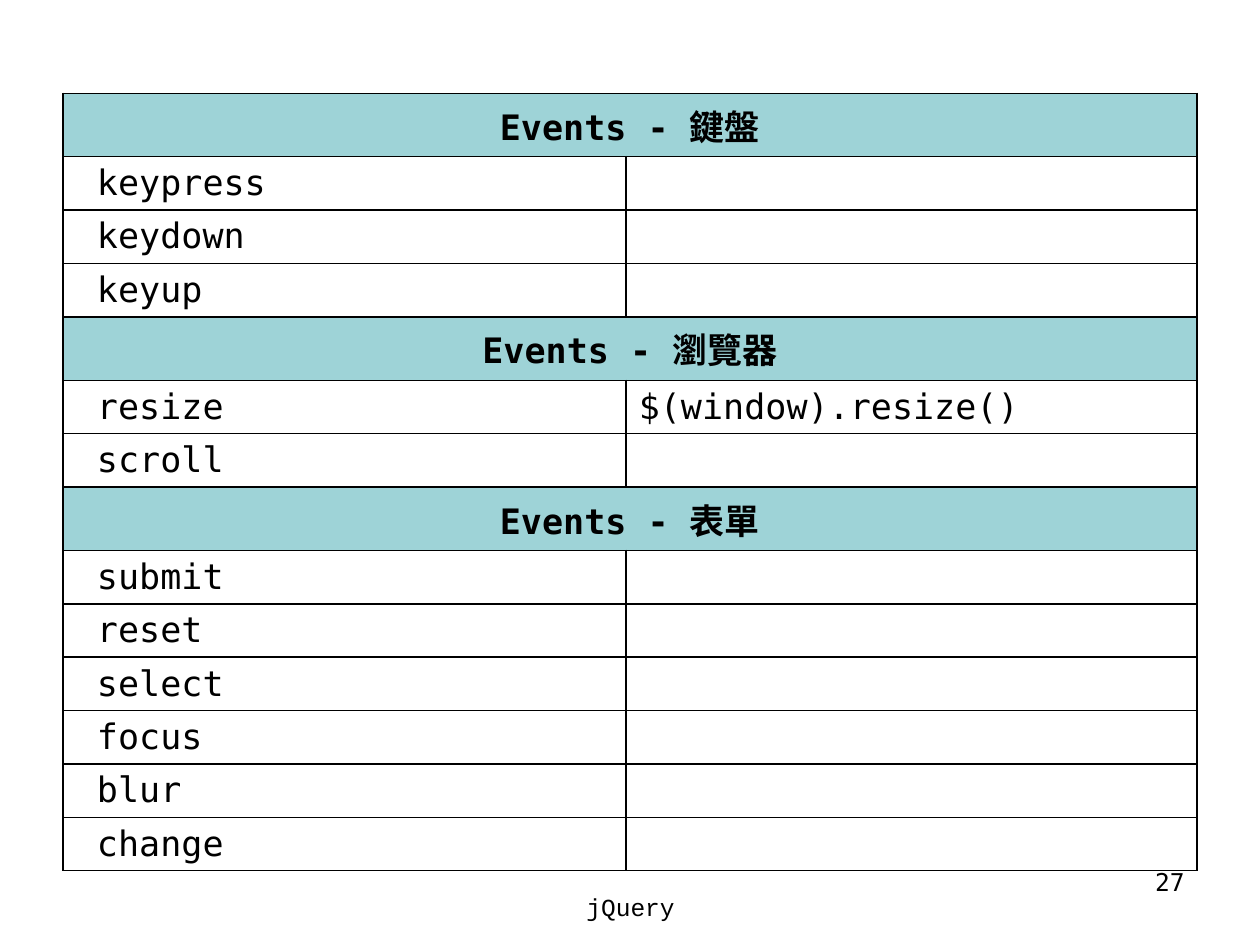
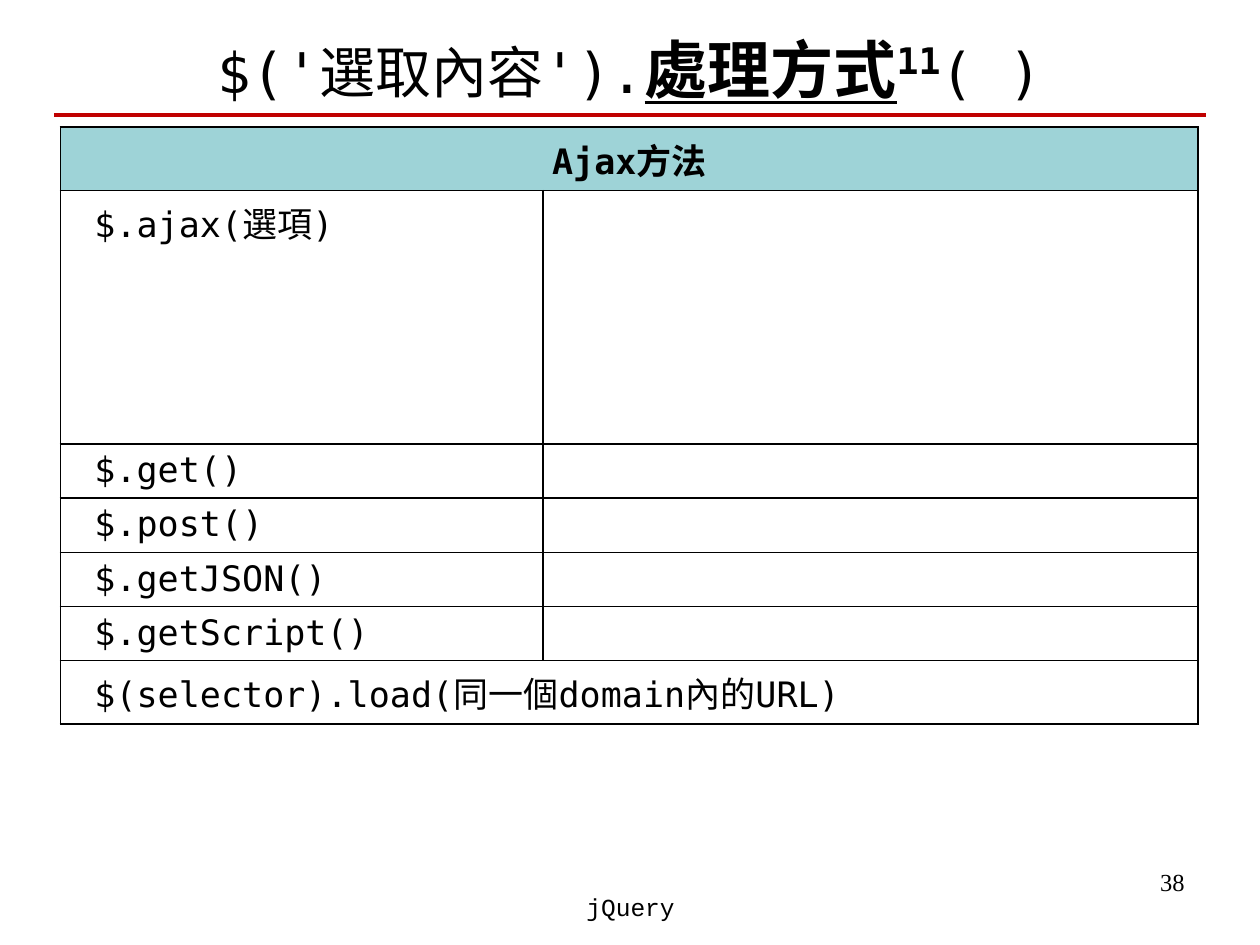
from lxml import etree
from pptx import Presentation
from pptx.dml.color import RGBColor
from pptx.enum import shapes, text
from pptx.oxml import ns
from pptx.util import Inches, Pt

COLORS = {"ink": "000000", "band": "9ED3D7", "rule": "C00000"}
MONO = "DejaVu Sans Mono"
HEADING, ENTRY, WIDE = "heading", "entry", "wide"


def add_run(paragraph, words, size, font=MONO, bold=False):
    run = paragraph.add_run()
    run.text = words
    run.font.size = Pt(size)
    run.font.name = font
    run.font.bold = bold
    run.font.color.rgb = RGBColor.from_string(COLORS["ink"])
    return run


def add_reference_table(slide, left, top, widths, rows):
    height = sum(row[-1] for row in rows)
    table = slide.shapes.add_table(
        len(rows), 2, Inches(left), Inches(top), Inches(sum(widths)), Inches(height)
    ).table
    table.first_row = False
    table.horz_banding = False
    for column, width in zip(table.columns, widths):
        column.width = Inches(width)
    for index, (role, name, usage, row_height) in enumerate(rows):
        table.rows[index].height = Inches(row_height)
        for cell, words in zip(table.rows[index].cells, (name, usage)):
            borders = cell._tc.get_or_add_tcPr()
            for side in ("lnL", "lnR", "lnT", "lnB"):
                line = etree.SubElement(borders, ns.qn(f"a:{side}"), w=str(Pt(1)))
                fill = etree.SubElement(line, ns.qn("a:solidFill"))
                etree.SubElement(fill, ns.qn("a:srgbClr"), val=COLORS["ink"])
            if role == HEADING:
                cell.fill.solid()
                cell.fill.fore_color.rgb = RGBColor.from_string(COLORS["band"])
            else:
                cell.fill.background()
            if words:
                paragraph = cell.text_frame.paragraphs[0]
                if role == HEADING:
                    paragraph.alignment = text.PP_ALIGN.CENTER
                elif words == name:
                    cell.margin_left = Inches(0.27)
                add_run(paragraph, words, 20, bold=role == HEADING)
        if role != ENTRY:
            table.cell(index, 0).merge(table.cell(index, 1))


prs = Presentation()
prs.slide_width = Inches(10)
prs.slide_height = Inches(7.5)

events = prs.slides.add_slide(prs.slide_layouts[6])
event_groups = {
    "鍵盤": ["keypress", "keydown", "keyup"],
    "瀏覽器": ["resize", "scroll"],
    "表單": ["submit", "reset", "select", "focus", "blur", "change"],
}
usages = {"resize": "$(window).resize()"}
event_rows = []
for group, names in event_groups.items():
    event_rows.append((HEADING, f"Events - {group}", "", 0.5))
    event_rows += [(ENTRY, name, usages.get(name, ""), 0.42) for name in names]
add_reference_table(events, 0.5, 0.74, (4.47, 4.53), event_rows)

ajax = prs.slides.add_slide(prs.slide_layouts[5])
title = ajax.shapes.title
title.left, title.top, title.width, title.height = map(Inches, (0.5, 0.16, 9, 0.76))
title.text_frame.auto_size = text.MSO_AUTO_SIZE.NONE
title.text_frame.vertical_anchor = text.MSO_ANCHOR.MIDDLE
heading = title.text_frame.paragraphs[0]
heading.alignment = text.PP_ALIGN.CENTER
add_run(heading, "$('選取內容').", 32)
add_run(heading, "處理方式", 36, bold=True).font.underline = True
chapter = add_run(heading, "11", 36, bold=True)
chapter._r.get_or_add_rPr().set("baseline", "30000")
add_run(heading, "( )", 32)

title_rule = ajax.shapes.add_connector(
    shapes.MSO_CONNECTOR.STRAIGHT, Inches(0.43), Inches(0.91), Inches(9.57), Inches(0.91)
)
title_rule.line.color.rgb = RGBColor.from_string(COLORS["rule"])
title_rule.line.width = Pt(2.25)
etree.SubElement(title_rule._element.spPr, ns.qn("a:effectLst"))

ajax_rows = [
    (HEADING, "Ajax方法", "", 0.5),
    (ENTRY, "$.ajax(選項)", "", 2.01),
    *[(ENTRY, f"$.{name}()", "", 0.43) for name in ("get", "post", "getJSON", "getScript")],
    (WIDE, "$(selector).load(同一個domain內的URL)", "", 0.5),
]
add_reference_table(ajax, 0.48, 1.01, (3.83, 5.2), ajax_rows)

for slide, number, number_font in ((events, "27", MONO), (ajax, "38", "Times New Roman")):
    for words, font, place, alignment in (
        (number, number_font, (7.17, 6.83, 2.33, 0.52), text.PP_ALIGN.RIGHT),
        ("jQuery", "Courier New", (3.42, 7.03, 3.17, 0.5), text.PP_ALIGN.CENTER),
    ):
        footer = slide.shapes.add_textbox(*map(Inches, place)).text_frame
        footer.word_wrap = True
        footer.paragraphs[0].alignment = alignment
        add_run(footer.paragraphs[0], words, 14, font)

prs.save("out.pptx")
